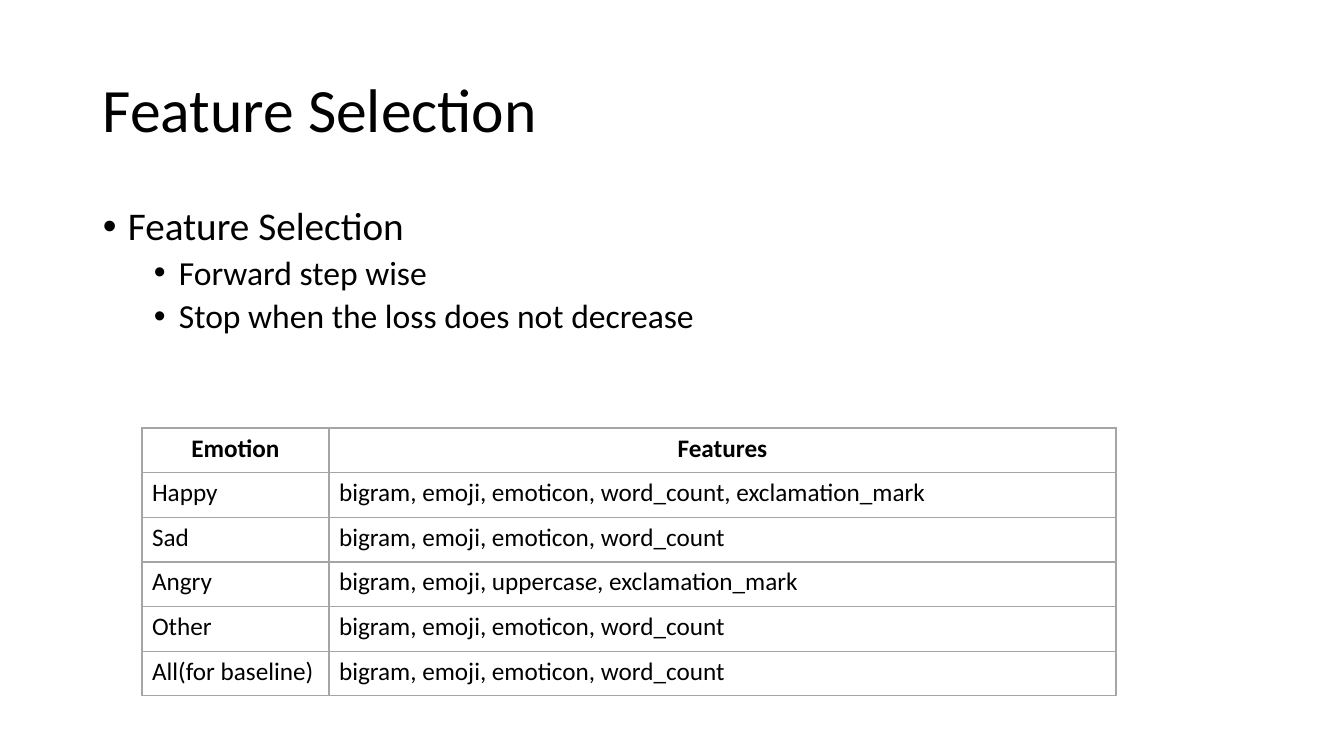
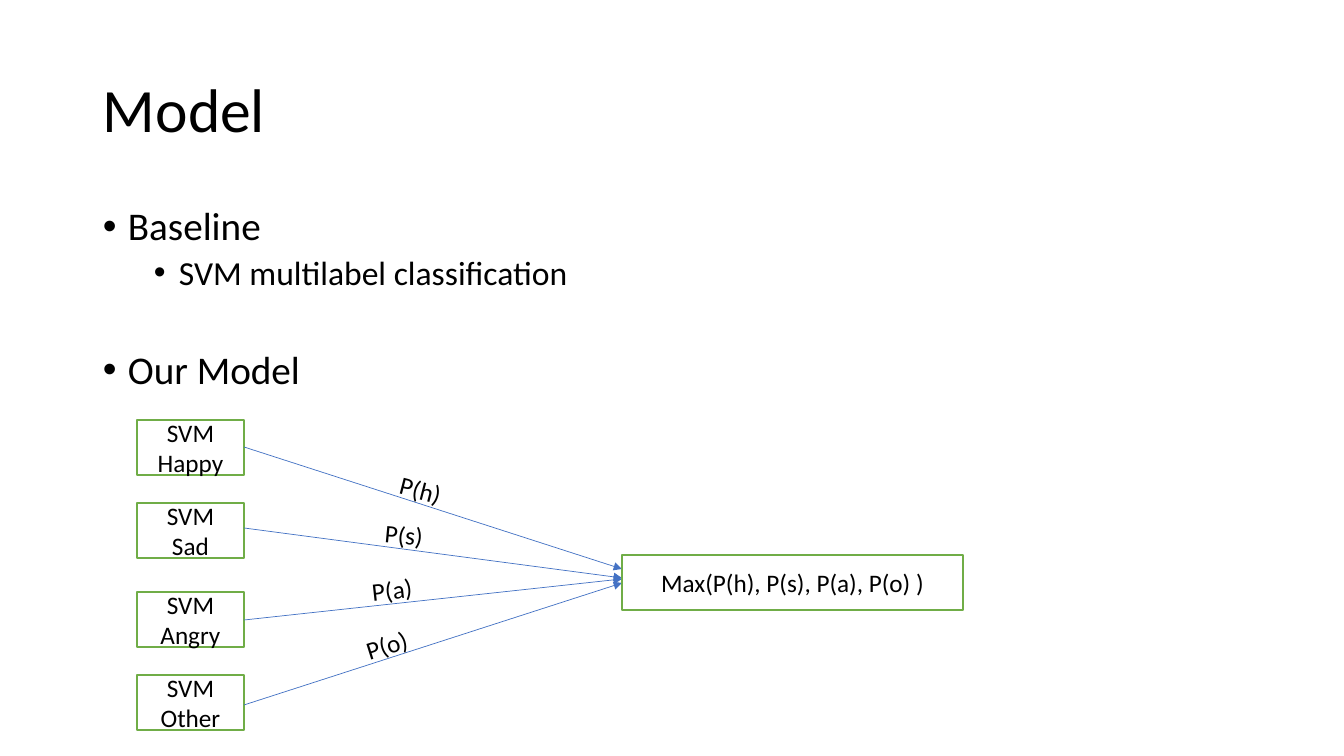
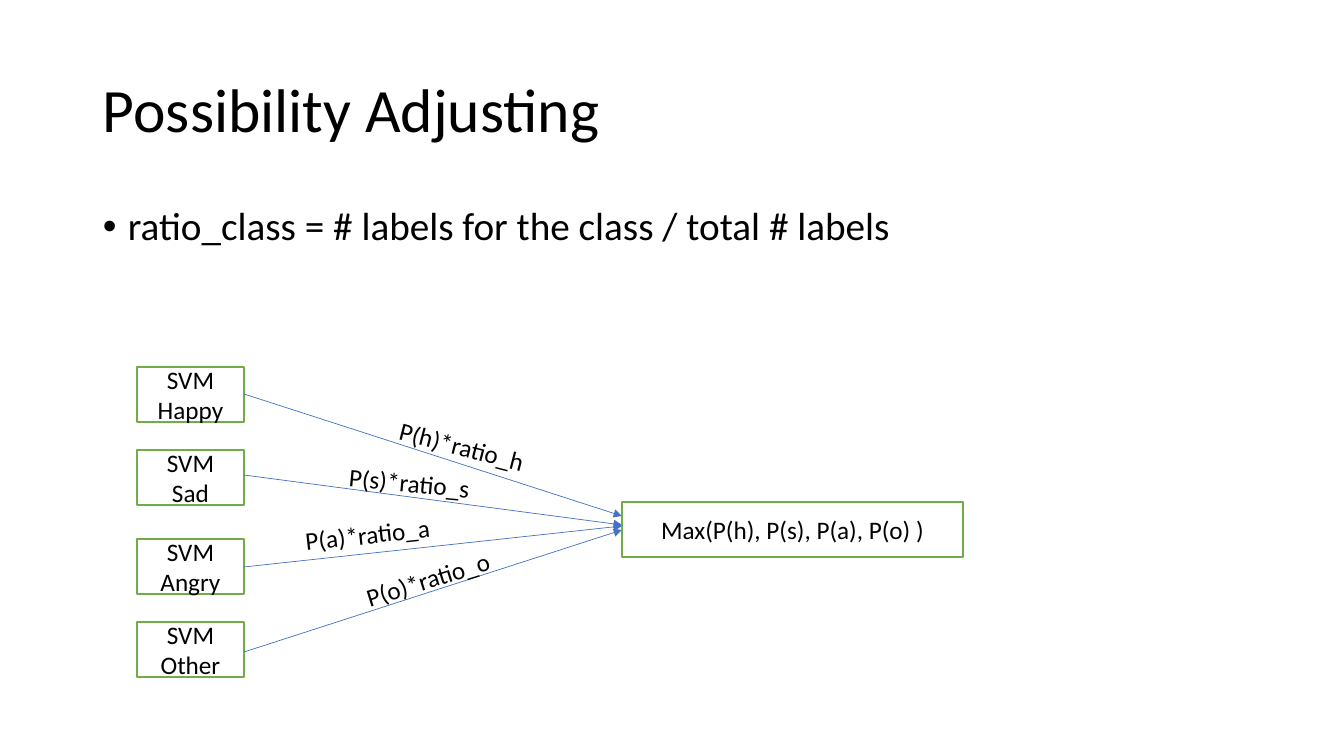
from dataclasses import dataclass

import pptx
import pptx.dml.color
import pptx.enum.shapes
import pptx.enum.text
import pptx.oxml
import pptx.oxml.ns
import pptx.util
from lxml import etree

ALIGN = pptx.enum.text.PP_ALIGN
ANCHOR = pptx.enum.text.MSO_ANCHOR
PX = 914400 / 100.8


@dataclass(frozen=True)
class Theme:
    font: str = "Calibri"
    bullet_font: str = "Arial"
    ink: str = "000000"
    paper: str = "FFFFFF"
    grid: str = "A5A5A5"
    outline: str = "70AD47"
    arrow: str = "4472C4"
    title_size: int = 44
    bullet_sizes: tuple = (28, 24)
    bullet_gaps: tuple = (10, 5)
    bullet_margins: tuple = (25, 76)
    bullet_hang: int = 25
    body_size: int = 18
    line_spacing: float = 0.9
    border: float = 1
    arrow_width: float = 0.5


def px(length):
    return pptx.util.Emu(round(length * PX))


def rgb(value):
    return pptx.dml.color.RGBColor.from_string(value)


def add_element(parent, tag, **attributes):
    element = etree.SubElement(parent, pptx.oxml.ns.qn(tag))
    for key, value in attributes.items():
        element.set(key, str(value))
    return element


class Deck:
    def __init__(self, theme):
        self.theme = theme
        self.presentation = pptx.Presentation()
        self.presentation.slide_width = px(1344)
        self.presentation.slide_height = px(756)
        self.slide = None

    def start_slide(self, title):
        blank = self.presentation.slide_layouts[6]
        self.slide = self.presentation.slides.add_slide(blank)
        frame = self.frame(93, 40, 1159, 146).text_frame
        frame.vertical_anchor = ANCHOR.MIDDLE
        heading = frame.paragraphs[0]
        heading.text = title
        heading.line_spacing = self.theme.line_spacing
        self.style(heading, self.theme.title_size)

    def frame(self, left, top, width, height):
        box = self.slide.shapes.add_textbox(px(left), px(top), px(width), px(height))
        box.text_frame.word_wrap = True
        return box

    def style(self, paragraph, size, bold=False, align=ALIGN.LEFT):
        paragraph.alignment = align
        for run in paragraph.runs:
            run.font.name = self.theme.font
            run.font.size = pptx.util.Pt(size)
            run.font.bold = bold
            run.font.color.rgb = rgb(self.theme.ink)

    def bullets(self, items, height=480):
        frame = self.frame(93, 202, 1159, height).text_frame
        for index, (level, text, extra_gap) in enumerate(items):
            item = frame.add_paragraph() if index else frame.paragraphs[0]
            item.text = text
            item.level = level
            item.line_spacing = self.theme.line_spacing
            item.space_before = pptx.util.Pt(self.theme.bullet_gaps[level] + extra_gap)
            self.style(item, self.theme.bullet_sizes[level])
            properties = item._p.get_or_add_pPr()
            properties.set("marL", str(px(self.theme.bullet_margins[level])))
            properties.set("indent", str(-px(self.theme.bullet_hang)))
            add_element(properties, "a:buFont", typeface=self.theme.bullet_font)
            add_element(properties, "a:buChar", char="•")

    def table(self, left, top, height, widths, rows):
        grid = self.slide.shapes.add_table(
            len(rows), len(widths), px(left), px(top), px(sum(widths)), px(height)
        ).table
        grid.first_row = grid.horz_banding = False
        for column, width in zip(grid.columns, widths):
            column.width = px(width)
        for row_index, row in enumerate(rows):
            grid.rows[row_index].height = px(height / len(rows))
            for column_index, text in enumerate(row):
                self.cell(grid.cell(row_index, column_index), text, row_index == 0)

    def cell(self, cell, text, header):
        paragraph = cell.text_frame.paragraphs[0]
        plain, *rest = text.split("|")
        paragraph.text = plain
        for index, part in enumerate(rest):
            run = paragraph.add_run()
            run.text = part
            run.font.italic = index % 2 == 0
        self.style(paragraph, self.theme.body_size, header,
                   ALIGN.CENTER if header else ALIGN.LEFT)
        properties = cell._tc.get_or_add_tcPr()
        for side in ("a:lnL", "a:lnR", "a:lnT", "a:lnB"):
            edge = add_element(properties, side, w=pptx.util.Pt(self.theme.border))
            fill = add_element(edge, "a:solidFill")
            add_element(fill, "a:srgbClr", val=self.theme.grid)
        cell.fill.solid()
        cell.fill.fore_color.rgb = rgb(self.theme.paper)

    def box(self, left, top, width, height, text):
        box = self.slide.shapes.add_shape(
            pptx.enum.shapes.MSO_SHAPE.RECTANGLE,
            px(left), px(top), px(width), px(height))
        box.shadow.inherit = False
        box.fill.solid()
        box.fill.fore_color.rgb = rgb(self.theme.paper)
        box.line.color.rgb = rgb(self.theme.outline)
        box.line.width = pptx.util.Pt(self.theme.border)
        box.text_frame.text = text
        box.text_frame.word_wrap = True
        box.text_frame.vertical_anchor = ANCHOR.MIDDLE
        for paragraph in box.text_frame.paragraphs:
            self.style(paragraph, self.theme.body_size, align=ALIGN.CENTER)

    def arrow(self, start_x, start_y, end_x, end_y):
        arrow = self.slide.shapes.add_connector(
            pptx.enum.shapes.MSO_CONNECTOR.STRAIGHT,
            px(start_x), px(start_y), px(end_x), px(end_y))
        arrow.line.color.rgb = rgb(self.theme.arrow)
        arrow.line.width = pptx.util.Pt(self.theme.arrow_width)
        add_element(arrow.line._get_or_add_ln(), "a:tailEnd", type="triangle")
        add_element(arrow._element.spPr, "a:effectLst")

    def label(self, left, top, width, height, text, rotation):
        label = self.frame(left, top, width, height)
        label.rotation = rotation
        label.text_frame.auto_size = pptx.enum.text.MSO_AUTO_SIZE.SHAPE_TO_FIT_TEXT
        paragraph = label.text_frame.paragraphs[0]
        paragraph.text = text
        self.style(paragraph, self.theme.body_size)

    def svm_diagram(self, top, labels):
        for emotion, box_top, start, end, _ in CLASSIFIERS:
            self.box(137, top + box_top, 107, 55, f"SVM\n{emotion}")
            self.arrow(244, top + start, 622, top + end)
        self.box(622, top + 135, 341, 55, "Max(P(h), P(s), P(a), P(o) )")
        for (*_, rotation), (text, *area) in zip(CLASSIFIERS, labels):
            self.label(*area, text, rotation)


CLASSIFIERS = [
    ("Happy", 0, 27, 149, 14.5),
    ("Sad", 83, 108, 158, 5.4),
    ("Angry", 172, 200, 159, 353.8),
    ("Other", 255, 285, 163, 342.6),
]
COMMON_FEATURES = "bigram, emoji, emoticon, word_count"

deck = Deck(Theme())

deck.start_slide("Feature Selection")
deck.bullets([
    (0, "Feature Selection", 0),
    (1, "Forward step wise", 0),
    (1, "Stop when the loss does not decrease", 0),
])
deck.table(142, 428, 268, (187, 787), [
    ("Emotion", "Features"),
    ("Happy", f"{COMMON_FEATURES}, exclamation_mark"),
    ("Sad", COMMON_FEATURES),
    ("Angry", "bigram, emoji, uppercas|e|, exclamation_mark"),
    ("Other", COMMON_FEATURES),
    ("All(for baseline)", COMMON_FEATURES),
])

deck.start_slide("Model")
deck.bullets([
    (0, "Baseline", 0),
    (1, "SVM multilabel classification", 0),
    (0, "Our Model", 31.4),
])
deck.svm_diagram(420, [
    ("P(h)", 390, 470, 66, 40),
    ("P(s)", 375, 515, 66, 40),
    ("P(a)", 362, 569, 65, 42),
    ("P(o)", 356, 624, 65, 42),
])

deck.start_slide("Possibility Adjusting")
deck.bullets([(0, "ratio_class = # labels for the class / total # labels", 0)], height=537)
deck.svm_diagram(367, [
    ("P(h)*ratio_h", 388, 429, 172, 40),
    ("P(s)*ratio_s", 339, 464, 174, 40),
    ("P(a)*ratio_a", 295, 513, 163, 40),
    ("P(o)*ratio_o", 354, 558, 153, 40),
])

deck.presentation.save("out.pptx")
